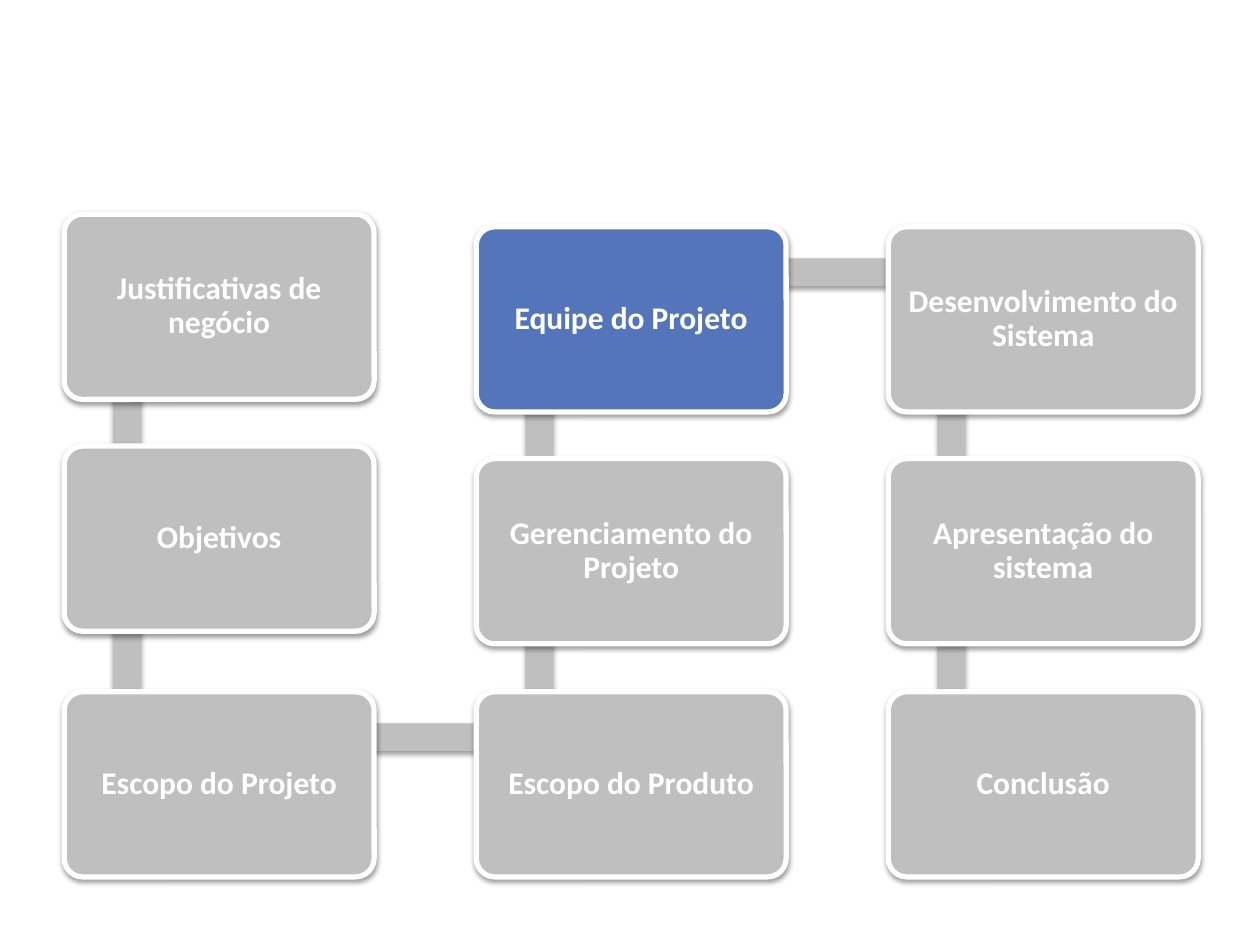
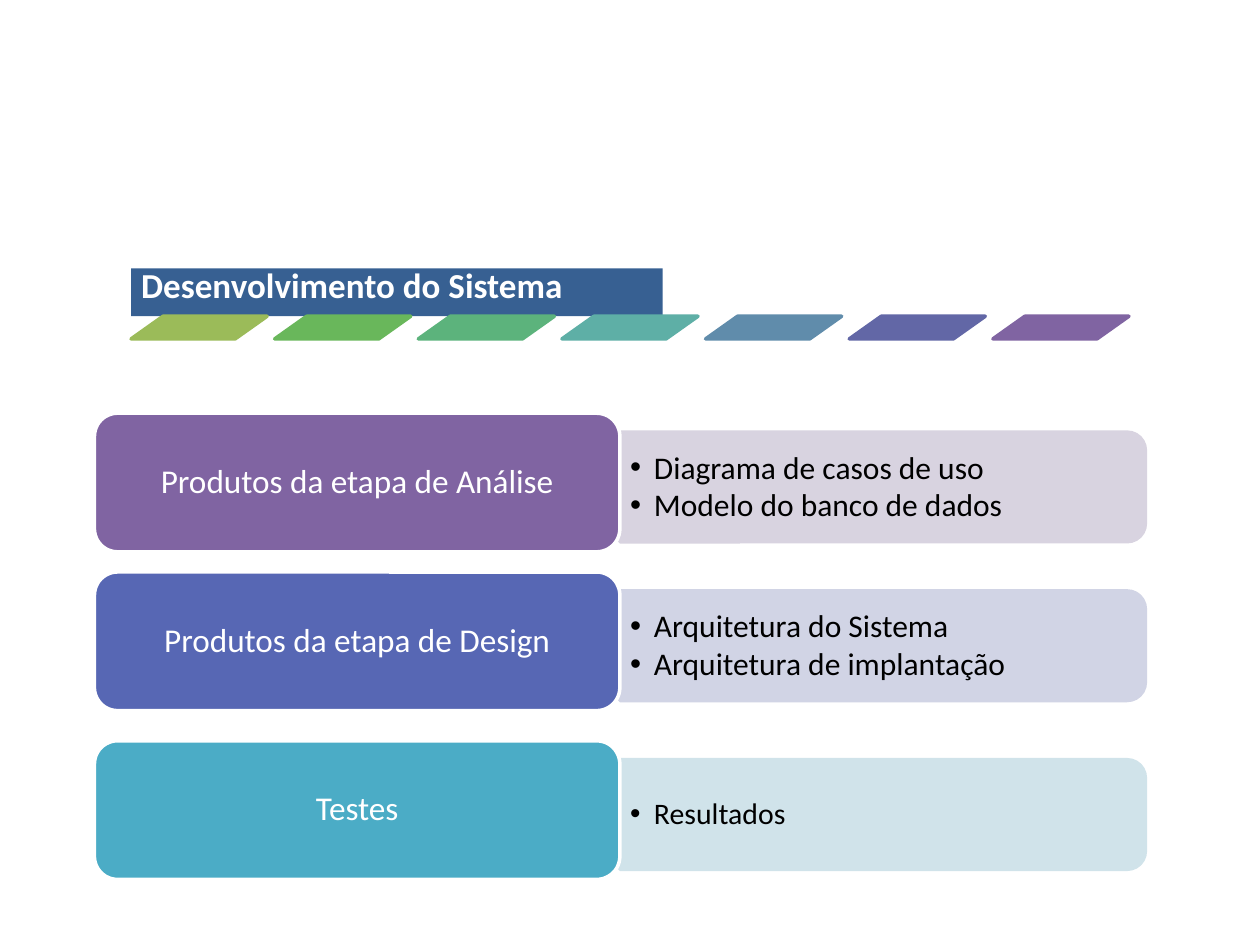
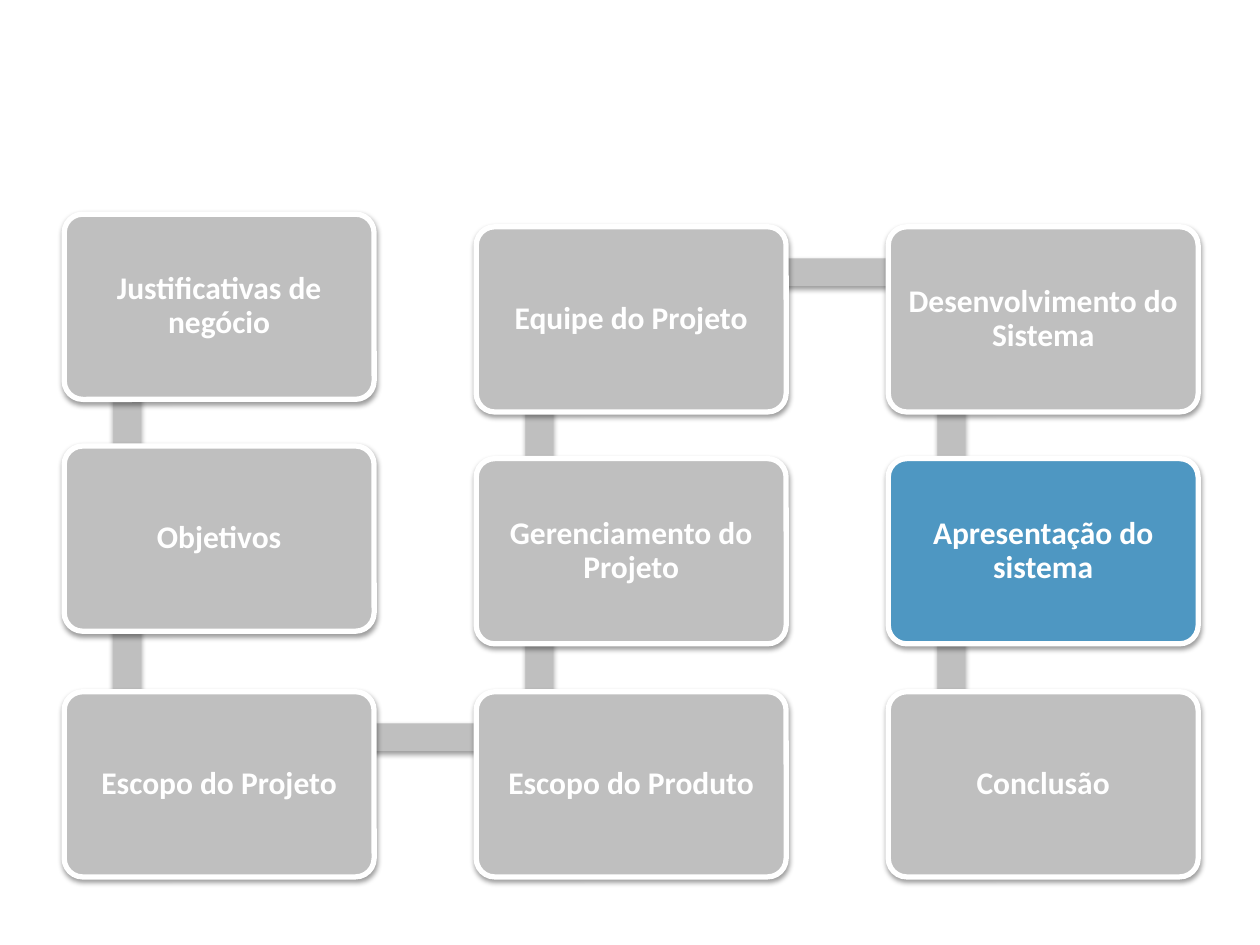
from lxml import etree
from pptx import Presentation
from pptx.dml.color import RGBColor
from pptx.enum import shapes, text
from pptx.oxml import ns
from pptx.util import Inches, Pt

FONT = "Calibri"
WHITE, BLACK, GREY = "FFFFFF", "000000", "BFBFBF"


def add_box(slide, kind, left, top, width, height, fill, line=None, line_width=2,
            adjust=None, shadow=False, alpha=None):
    box = slide.shapes.add_shape(kind, Inches(left), Inches(top), Inches(width), Inches(height))
    box.shadow.inherit = False
    box.fill.solid()
    box.fill.fore_color.rgb = RGBColor.from_string(fill)
    if alpha:
        color = box.fill._xPr.find(".//" + ns.qn("a:srgbClr"))
        etree.SubElement(color, ns.qn("a:alpha"), val=str(alpha * 1000))
    if line:
        box.line.color.rgb = RGBColor.from_string(line)
        box.line.width = Pt(line_width)
    else:
        box.line.fill.background()
    if adjust is not None:
        box.adjustments[0] = adjust
    if shadow:
        effects = box._element.spPr.find(ns.qn("a:effectLst"))
        outer = etree.SubElement(effects, ns.qn("a:outerShdw"), blurRad=str(Pt(3.1)),
                                 dist=str(Pt(1.6)), dir="5400000", rotWithShape="0")
        color = etree.SubElement(outer, ns.qn("a:srgbClr"), val=BLACK)
        etree.SubElement(color, ns.qn("a:alpha"), val="38000")
    return box


def write(shape, lines, size=18, color=WHITE, bold=False, align=text.PP_ALIGN.CENTER,
          anchor=text.MSO_ANCHOR.MIDDLE, margins=(0.11, 0.11), bullets=False):
    frame = shape.text_frame
    frame.word_wrap = True
    frame.auto_size = text.MSO_AUTO_SIZE.NONE
    frame.vertical_anchor = anchor
    frame.margin_left = frame.margin_right = Inches(margins[0])
    frame.margin_top = frame.margin_bottom = Inches(margins[1])
    for i, line in enumerate(lines):
        paragraph = frame.paragraphs[0] if i == 0 else frame.add_paragraph()
        if bullets:
            properties = paragraph._p.get_or_add_pPr()
            properties.set("marL", str(Inches(0.19)))
            properties.set("indent", str(-Inches(0.19)))
            etree.SubElement(properties, ns.qn("a:buChar"), char="•")
        paragraph.alignment = align
        paragraph.line_spacing = 0.9
        paragraph.space_before = Pt(0)
        paragraph.space_after = Pt(2 if bullets else 0)
        run = paragraph.add_run()
        run.text = line
        run.font.name = FONT
        run.font.size = Pt(size)
        run.font.bold = bold
        run.font.color.rgb = RGBColor.from_string(color)


prs = Presentation()
prs.slide_width, prs.slide_height = Inches(10), Inches(7.5)
COMPARISON, BLANK = prs.slide_layouts[4], prs.slide_layouts[6]
SHAPE = shapes.MSO_SHAPE

# Agenda: three columns of topics, each from top to bottom
AGENDA = [
    ([1.7, 3.54, 5.49], ["Justificativas de negócio", "Objetivos", "Escopo do Projeto"]),
    ([1.8, 3.64, 5.49], ["Equipe do Projeto", "Gerenciamento do Projeto", "Escopo do Produto"]),
    ([1.8, 3.64, 5.49], ["Desenvolvimento do Sistema", "Apresentação do sistema", "Conclusão"]),
]
CARD_W, CARD_H, COLUMN_STEP, BAR = 2.46, 1.47, 3.27, 0.22
PASSAGES = [(0, 5.74), (1, 2.05)]  # column left of the bar, top of the bar

agenda_slides = []
development = None
for current, highlight in [("Equipe do Projeto", "5475B9"), (None, None),
                           ("Apresentação do sistema", "4E97C2")]:
    if current is None:
        development = prs.slides.add_slide(COMPARISON)
        continue
    agenda = prs.slides.add_slide(BLANK)

    # Path behind the cards
    for column, (tops, topics) in enumerate(AGENDA):
        left = 0.51 + column * COLUMN_STEP
        for top, next_top in zip(tops, tops[1:]):
            add_box(agenda, SHAPE.RECTANGLE, left + 0.39, top + 0.37, BAR, next_top - top,
                    GREY, shadow=True)
    for column, top in PASSAGES:
        add_box(agenda, SHAPE.RECTANGLE, 1.02 + column * COLUMN_STEP, top, 3.26, BAR,
                GREY, shadow=True)

    # Topic cards
    for column, (tops, topics) in enumerate(AGENDA):
        for top, topic in zip(tops, topics):
            card = add_box(agenda, SHAPE.ROUNDED_RECTANGLE, 0.51 + column * COLUMN_STEP, top,
                           CARD_W, CARD_H, highlight if topic == current else GREY,
                           line=WHITE, line_width=3, adjust=0.1, shadow=True)
            write(card, [topic], bold=True)

# Development: title band
title = development.shapes.title
title.left, title.top, title.width, title.height = (Inches(v) for v in (1.04, 2.13, 4.22, 0.38))
title.fill.solid()
title.fill.fore_color.rgb = RGBColor.from_string("376092")
write(title, ["Desenvolvimento do Sistema"], size=20, bold=True, align=text.PP_ALIGN.LEFT,
      anchor=text.MSO_ANCHOR.BOTTOM, margins=(0.08, 0.08))

# Development: strip of slanted tiles
STRIP = ["9BBB59", "69B75B", "5CB37C", "5EAFA6", "608CAB", "6267A6", "8064A2"]
for i, tint in enumerate(STRIP):
    add_box(development, SHAPE.PARALLELOGRAM, 1.04 + i * 1.14, 2.51, 1.08, 0.18, tint,
            line=tint, adjust=1.41)

# Development: stages with their products
STAGES = [
    (3.28, "Produtos da etapa de Análise", "8064A2", "D8D3E0", 18,
     ["Diagrama de casos de uso", "Modelo do banco de dados"]),
    (4.54, "Produtos da etapa de Design", "5767B4", "D1D4E5", 18,
     ["Arquitetura do Sistema", "Arquitetura de implantação"]),
    (5.88, "Testes", "4BACC6", "D0E3EA", 17, ["Resultados"]),
]
title_holder, *product_lists, spare = list(development.placeholders)
for products, (top, stage, strong, pale, size, items) in zip(product_lists, STAGES):
    panel = add_box(development, SHAPE.ROUND_2_SAME_RECTANGLE, 6.57, top - 1.5, 0.87, 4.17,
                    pale, line=pale)
    panel.rotation = 90

    products.left, products.top = Inches(4.92), Inches(top + 0.2)
    products.width, products.height = Inches(4.12), Inches(0.78)
    write(products, items, size=size, color=BLACK, align=text.PP_ALIGN.LEFT,
          margins=(0.08, 0.04), bullets=True)
    panel._element.addnext(products._element)

    head = add_box(development, SHAPE.ROUNDED_RECTANGLE, 0.75, top, 4.17, 1.1, strong, line=WHITE)
    write(head, [stage], size=19, margins=(0.3, 0.15))
spare._element.getparent().remove(spare._element)

prs.save("out.pptx")
